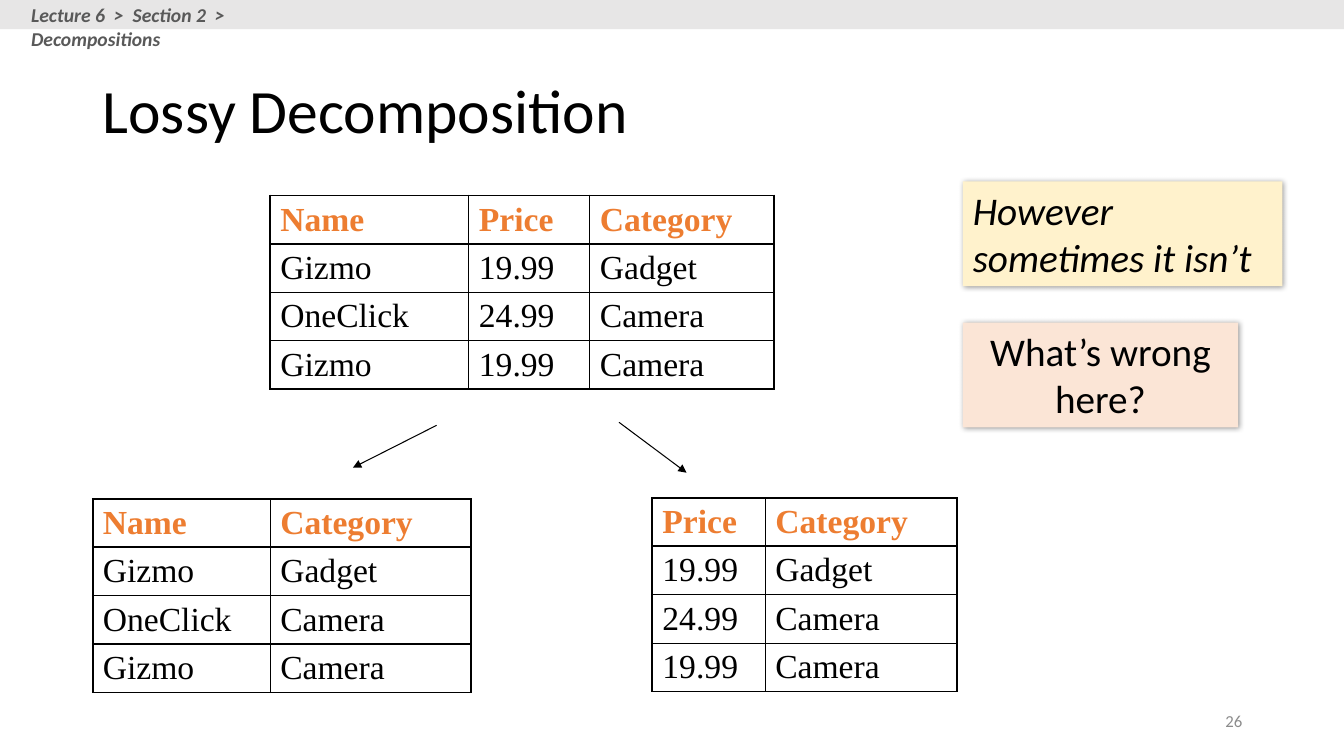
from dataclasses import dataclass

from lxml import etree
from pptx import Presentation
from pptx.dml.color import RGBColor
from pptx.enum.shapes import MSO_CONNECTOR, MSO_SHAPE
from pptx.enum.text import MSO_ANCHOR, PP_ALIGN
from pptx.oxml.ns import qn
from pptx.util import Pt

STRAIGHT = MSO_CONNECTOR.STRAIGHT
RECTANGLE = MSO_SHAPE.RECTANGLE
TOP, MIDDLE = MSO_ANCHOR.TOP, MSO_ANCHOR.MIDDLE
LEFT, CENTER, RIGHT = PP_ALIGN.LEFT, PP_ALIGN.CENTER, PP_ALIGN.RIGHT
PX = 9144


@dataclass(frozen=True)
class Theme:
    sans: str = "Calibri"
    serif: str = "Times New Roman"
    ink: str = "000000"
    attribute: str = "ED7D31"
    bar: str = "E7E6E6"
    crumb: str = "595959"
    number: str = "8C8C8C"
    remark: str = "FFF2CC"
    question: str = "FBE5D6"
    title_size: int = 44
    note_size: int = 28
    cell_size: int = 24
    crumb_size: int = 14
    number_size: int = 12
    outer_line: float = 1.5
    inner_line: float = 1
    arrow_line: float = 0.75


theme = Theme()


def write(frame, text, size, color=theme.ink, font=theme.sans, align=LEFT,
          anchor=TOP, bold=False, italic=False):
    frame.text = text
    frame.word_wrap = True
    frame.vertical_anchor = anchor
    paragraph = frame.paragraphs[0]
    paragraph.alignment = align
    style = paragraph.runs[0].font
    style.name, style.size = font, Pt(size)
    style.bold, style.italic = bold, italic
    style.color.rgb = RGBColor.from_string(color)


def add_block(left, top, width, height, color):
    block = slide.shapes.add_shape(RECTANGLE, left * PX, top * PX, width * PX, height * PX)
    block.fill.solid()
    block.fill.fore_color.rgb = RGBColor.from_string(color)
    block.line.fill.background()
    block.shadow.inherit = False
    return block


deck = Presentation()
deck.slide_width, deck.slide_height = 1333 * PX, 750 * PX
slide = deck.slides.add_slide(deck.slide_layouts[6])

add_block(0, 0, 1333, 29, theme.bar)

labels = [
    ((21, -2, 344, 34), "Lecture 6  >  Section 2  >  Decompositions", theme.crumb_size,
     dict(color=theme.crumb, bold=True, italic=True)),
    ((92, 40, 1150, 145), "Lossy Decomposition", theme.title_size, dict(anchor=MIDDLE)),
    ((942, 695, 300, 40), "26", theme.number_size,
     dict(color=theme.number, align=RIGHT, anchor=MIDDLE)),
]
for place, text, size, look in labels:
    label = slide.shapes.add_textbox(*[length * PX for length in place])
    write(label.text_frame, text, size, **look)
    label.text_frame.paragraphs[0].line_spacing = 0.9 if size == theme.title_size else 1.0

products = [
    {"Name": "Gizmo", "Price": "19.99", "Category": "Gadget"},
    {"Name": "OneClick", "Price": "24.99", "Category": "Camera"},
    {"Name": "Gizmo", "Price": "19.99", "Category": "Camera"},
]
row_height = 47
relations = [
    (268, 194, {"Name": 197, "Price": 120, "Category": 183}),
    (92, 495, {"Name": 176, "Category": 199}),
    (647, 494, {"Price": 112, "Category": 190}),
]
for left, top, widths in relations:
    rows = [list(widths)] + [[product[name] for name in widths] for product in products]
    last_row, last_column = len(rows) - 1, len(widths) - 1
    relation = slide.shapes.add_table(
        len(rows), len(widths), left * PX, top * PX,
        sum(widths.values()) * PX, len(rows) * row_height * PX).table
    relation.first_row = relation.horz_banding = False
    for column, width in zip(relation.columns, widths.values()):
        column.width = width * PX
    for r, values in enumerate(rows):
        relation.rows[r].height = row_height * PX
        for c, value in enumerate(values):
            cell = relation.cell(r, c)
            header = r == 0
            write(cell.text_frame, value, theme.cell_size,
                  theme.attribute if header else theme.ink, theme.serif, bold=header)
            cell.vertical_anchor = MIDDLE
            cell.margin_top = cell.margin_bottom = 4 * PX
            heavy_sides = {
                "a:lnL": c == 0,
                "a:lnR": c == last_column,
                "a:lnT": r <= 1,
                "a:lnB": r in (0, last_row),
            }
            for side, heavy in heavy_sides.items():
                weight = theme.outer_line if heavy else theme.inner_line
                border = etree.SubElement(cell._tc.get_or_add_tcPr(), qn(side), w=str(Pt(weight)))
                paint = etree.SubElement(border, qn("a:solidFill"))
                etree.SubElement(paint, qn("a:srgbClr"), val=theme.ink)
            cell.fill.background()

for ends in [(433, 422, 350, 464), (614, 419, 681, 469)]:
    arrow = slide.shapes.add_connector(STRAIGHT, *[length * PX for length in ends])
    arrow.line.color.rgb = RGBColor.from_string(theme.ink)
    arrow.line.width = Pt(theme.arrow_line)
    etree.SubElement(arrow.line._get_or_add_ln(), qn("a:tailEnd"), type="triangle")
    etree.SubElement(arrow._element.spPr, qn("a:effectLst"))

notes = [
    (320, 273, theme.question, "What’s wrong here?", dict(align=CENTER)),
    (180, 317, theme.remark, "However sometimes it isn’t", dict(italic=True)),
]
for top, width, color, text, look in notes:
    note = add_block(955, top, width, 104, color)
    write(note.text_frame, text, theme.note_size, **look)
    effects = note._element.spPr.find(qn("a:effectLst"))
    shadow = etree.SubElement(effects, qn("a:outerShdw"), blurRad=str(Pt(4)),
                              dist=str(Pt(1)), dir="2700000", algn="tl", rotWithShape="0")
    shade = etree.SubElement(shadow, qn("a:srgbClr"), val=theme.ink)
    etree.SubElement(shade, qn("a:alpha"), val="40000")

deck.save("out.pptx")
